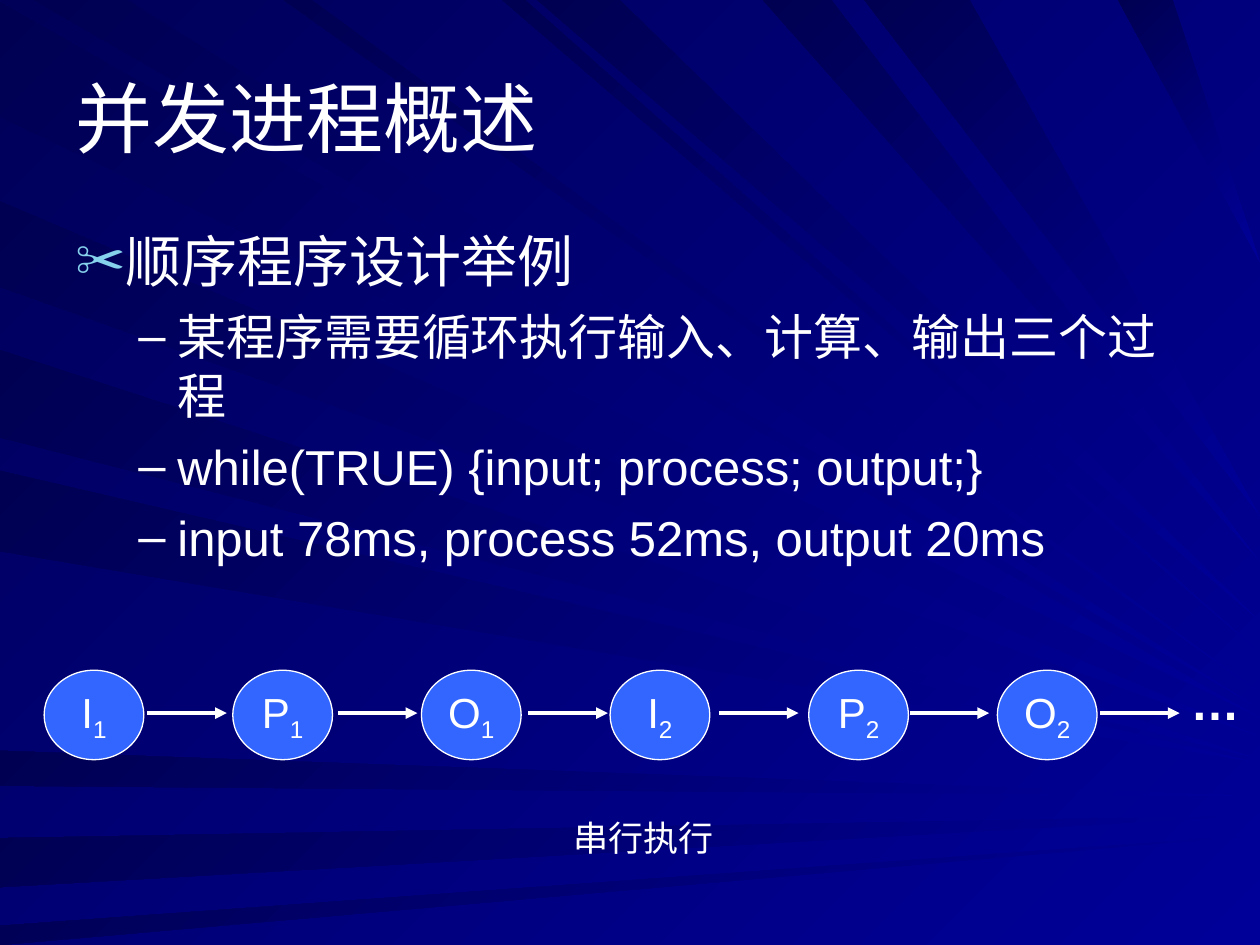
"""Build the slide on sequential execution of a looping program."""
from lxml import etree
from pptx import Presentation
from pptx import util as u
from pptx.dml.color import RGBColor
from pptx.enum import shapes, text
from pptx.oxml.ns import qn

COLOURS = {"white": "FFFFFF", "node": "3366FF", "bullet": "86D1EC",
           "bright": "000099", "deep": "000058", "dark": "000053"}
WIDTH, HEIGHT = 720, 540

LEFT_RAYS = [(1, 67, 410), (115, 164, 421), (200, 250, 434), (269, 315, 436),
             (429, 449, 455), (479, 507, 466), (529, 540, 477)]
TOP_RAYS = [(19, 73, 405), (162, 178, 396), (287, 300, 373), (307, 354, 355),
            (436, 475, 321), (494, 554, 295), (639, 670, 150)]

BODY = ["顺序程序设计举例", "某程序需要循环执行输入、计算、输出三个过程",
        "while(TRUE) {input; process; output;}", "input 78ms, process 52ms, output 20ms"]
STEPS = ["I1", "P1", "O1", "I2", "P2", "O2"]


def rgb(value):
    """Return the colour for a hex string."""
    return RGBColor.from_string(value)


def paint_gradient(fill, first, last):
    """Apply a gradient running from bottom right to top left."""
    fill.gradient()
    fill.gradient_angle = 135
    for stop, value in zip(fill.gradient_stops, (first, last)):
        stop.color.rgb = rgb(value)


def add_ray(slide, start, end, tip):
    """Draw a ray from two edge points to a height on the right edge."""
    builder = slide.shapes.build_freeform(*map(u.Pt, start))
    corners = [tuple(map(u.Pt, point)) for point in (end, (WIDTH, tip))]
    builder.add_line_segments(corners, close=True)
    ray = builder.convert_to_shape()
    ray.shadow.inherit = False
    ray.line.fill.background()
    paint_gradient(ray.fill, COLOURS["bright"], COLOURS["dark"])


def style(para, size, bold=False):
    """Format every run of a paragraph."""
    for span in para.runs:
        span.font.size = u.Pt(size)
        span.font.name = "Arial"
        span.font.bold = bold
        span.font.color.rgb = rgb(COLOURS["white"])


def add_text(slide, frame, lines, size, before=0, bold=False):
    """Add a wrapping text box and return it."""
    box = slide.shapes.add_textbox(*map(u.Pt, frame))
    box.text_frame.word_wrap = True
    box.text_frame.text = "\n".join(lines)
    for para in box.text_frame.paragraphs:
        para.space_before = u.Pt(before)
        style(para, size, bold)
    return box


def add_bullet(para, char, colour, percent, left, hanging):
    """Give a paragraph a coloured bullet and a hanging indent."""
    props = para._p.get_or_add_pPr()
    props.set("marL", str(u.Pt(left)))
    props.set("indent", str(-u.Pt(hanging)))
    tint = etree.SubElement(props, qn("a:buClr"))
    etree.SubElement(tint, qn("a:srgbClr"), val=colour)
    etree.SubElement(props, qn("a:buSzPct"), val=str(percent * 1000))
    etree.SubElement(props, qn("a:buFont"), typeface="Arial")
    etree.SubElement(props, qn("a:buChar"), char=char)


def add_body(slide):
    """Add the heading line and its dashed points."""
    box = add_text(slide, (36, 126, 648, 356.4), BODY, 28, 7)
    heading, *points = box.text_frame.paragraphs
    heading.space_before = u.Pt(8)
    style(heading, 32)
    add_bullet(heading, "✂", COLOURS["bullet"], 90, 27, 27)
    for para in points:
        para.level = 1
        add_bullet(para, "–", COLOURS["white"], 100, 58.3, 22.3)


def add_step(slide, label, left):
    """Draw a circle with a letter and its subscript."""
    letter, cycle = label
    circle = slide.shapes.add_shape(shapes.MSO_SHAPE.OVAL, *map(u.Pt, (left, 383, 57, 51.1)))
    circle.shadow.inherit = False
    circle.fill.solid()
    circle.fill.fore_color.rgb = rgb(COLOURS["node"])
    circle.line.color.rgb = rgb(COLOURS["white"])
    circle.line.width = u.Pt(0.75)
    circle.text_frame.word_wrap = False
    circle.text_frame.vertical_anchor = text.MSO_ANCHOR.MIDDLE
    para = circle.text_frame.paragraphs[0]
    para.text = letter
    para.alignment = text.PP_ALIGN.CENTER
    subscript = para.add_run()
    subscript.text = cycle
    style(para, 24)
    subscript.font._element.set("baseline", "-25000")


def add_arrow(slide, left):
    """Draw an arrow to the next step."""
    arrow = slide.shapes.add_connector(
        shapes.MSO_CONNECTOR.STRAIGHT, *map(u.Pt, (left, 407.5, left + 45.4, 407.5)))
    arrow.line.color.rgb = rgb(COLOURS["white"])
    arrow.line.width = u.Pt(2.25)
    etree.SubElement(arrow.line._get_or_add_ln(), qn("a:tailEnd"), type="triangle")
    etree.SubElement(arrow._element.spPr, qn("a:effectLst"))


def main():
    """Build and save the deck."""
    deck = Presentation()
    deck.slide_width, deck.slide_height = u.Pt(WIDTH), u.Pt(HEIGHT)
    slide = deck.slides.add_slide(deck.slide_layouts[6])
    paint_gradient(slide.background.fill, COLOURS["bright"], COLOURS["deep"])
    for start, end, tip in LEFT_RAYS:
        add_ray(slide, (0, start), (0, end), tip)
    for start, end, tip in TOP_RAYS:
        add_ray(slide, (start, 0), (end, 0), tip)
    title = add_text(slide, (36, 21.6, 648, 90), ["并发进程概述"], 44)
    title.text_frame.vertical_anchor = text.MSO_ANCHOR.MIDDLE
    add_body(slide)
    for index, label in enumerate(STEPS):
        cycle_gap = 5.7 * (index // 4)
        add_step(slide, label, 25.2 + 107.8 * index + cycle_gap)
        add_arrow(slide, 84.2 + 108.9 * index)
    add_text(slide, (673.2, 380.2, 42.5, 41), ["…"], 28, 17.5, True)
    add_text(slide, (320.4, 463, 96.5, 31.7), ["串行执行"], 20, 12.5)
    deck.save("out.pptx")


if __name__ == "__main__":
    main()
